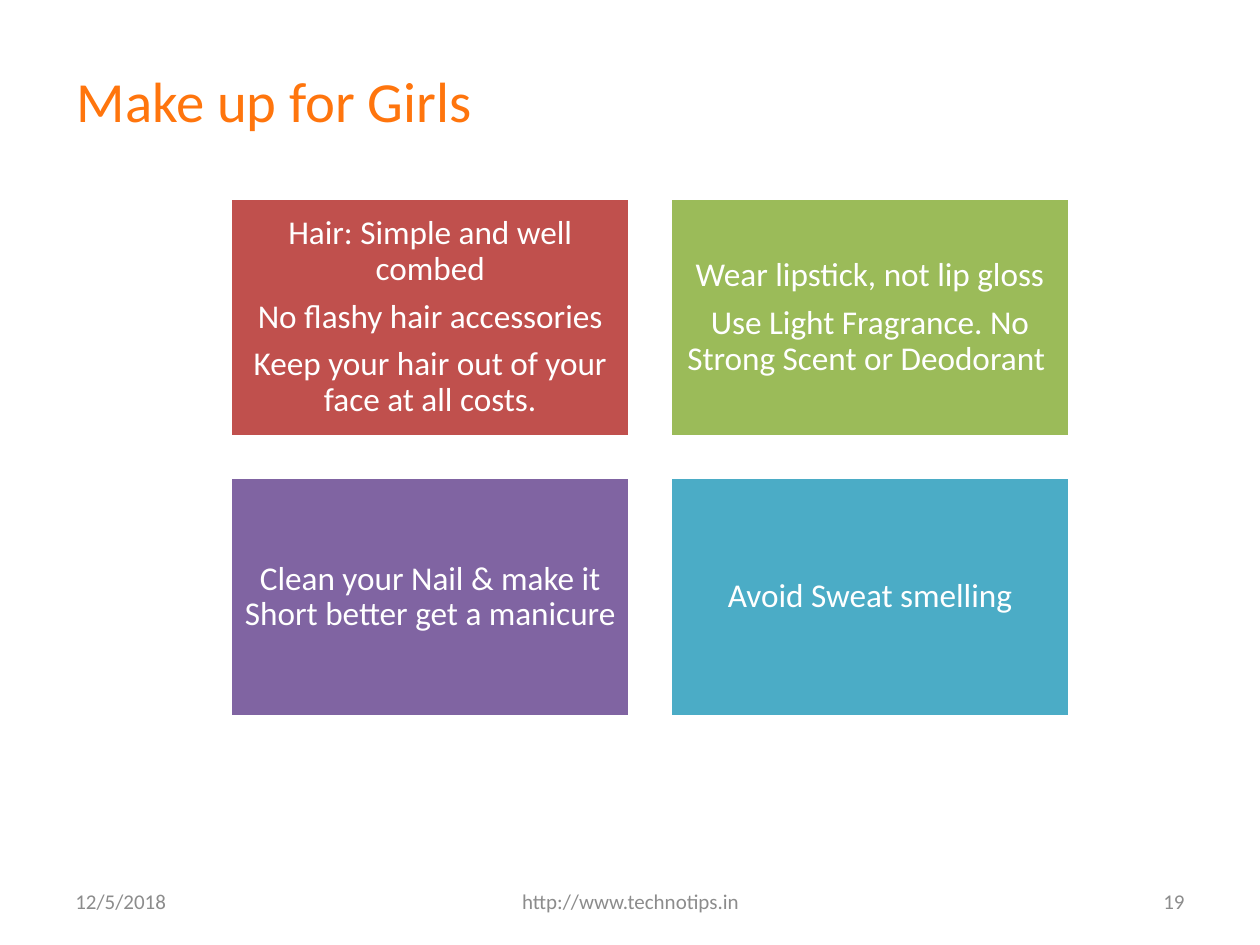
from dataclasses import dataclass

from pptx import Presentation
from pptx.dml.color import RGBColor
from pptx.enum.shapes import MSO_SHAPE
from pptx.enum.text import MSO_ANCHOR, PP_ALIGN
from pptx.slide import Slide
from pptx.text.text import TextFrame
from pptx.util import Inches, Pt

FONT_NAME = "Calibri"
WHITE = RGBColor(0xFF, 0xFF, 0xFF)
ORANGE = RGBColor(0xFF, 0x75, 0x0D)
GRAY = RGBColor(0x8C, 0x8C, 0x8C)
RED = RGBColor(0xC0, 0x50, 0x4D)
GREEN = RGBColor(0x9B, 0xBB, 0x59)
PURPLE = RGBColor(0x80, 0x64, 0xA2)
TEAL = RGBColor(0x4B, 0xAC, 0xC6)

CARD_COLUMNS = 2
CARD_LEFT, CARD_TOP = 1.83, 1.57
CARD_WIDTH, CARD_HEIGHT = 3.17, 1.9
CARD_GAP = 0.32
CARD_MARGIN = Inches(0.08)
CARD_FONT_SIZE = 19
FOOTER_TOP, FOOTER_HEIGHT = 6.95, 0.4


@dataclass
class Label:
    text: str
    left: float
    top: float
    width: float
    height: float
    size: float
    color: RGBColor
    alignment: PP_ALIGN = PP_ALIGN.LEFT


@dataclass
class Card:
    text: str
    fill: RGBColor


def footer(text: str, left: float, width: float, alignment: PP_ALIGN) -> Label:
    return Label(text, left, FOOTER_TOP, width, FOOTER_HEIGHT, 12, GRAY, alignment)


LABELS = [
    Label("Make up for Girls", 0.51, 0.5, 9, 0.58, 32.4, ORANGE),
    footer("12/5/2018", 0.5, 2.33, PP_ALIGN.LEFT),
    footer("http://www.technotips.in", 3.42, 3.17, PP_ALIGN.CENTER),
    footer("19", 7.17, 2.33, PP_ALIGN.RIGHT),
]

CARDS = [
    Card(
        "Hair: Simple and well combed\n"
        "No flashy hair accessories\n"
        "Keep your hair out of your face at all costs.",
        RED,
    ),
    Card(
        "Wear lipstick, not lip gloss\n"
        "Use Light Fragrance. No Strong Scent or Deodorant ",
        GREEN,
    ),
    Card("Clean your Nail & make it Short better get a manicure", PURPLE),
    Card("Avoid Sweat smelling", TEAL),
]


def write_text(
    text_frame: TextFrame, text: str, size: float, color: RGBColor, alignment: PP_ALIGN
) -> None:
    text_frame.text = text
    text_frame.word_wrap = True
    text_frame.vertical_anchor = MSO_ANCHOR.MIDDLE
    for paragraph in text_frame.paragraphs:
        paragraph.alignment = alignment
        for run in paragraph.runs:
            run.font.name = FONT_NAME
            run.font.size = Pt(size)
            run.font.color.rgb = color


def add_label(slide: Slide, label: Label) -> None:
    shape = slide.shapes.add_textbox(
        Inches(label.left), Inches(label.top), Inches(label.width), Inches(label.height)
    )
    write_text(shape.text_frame, label.text, label.size, label.color, label.alignment)


def add_card(slide: Slide, card: Card, index: int) -> None:
    row, column = divmod(index, CARD_COLUMNS)
    shape = slide.shapes.add_shape(
        MSO_SHAPE.RECTANGLE,
        Inches(CARD_LEFT + column * (CARD_WIDTH + CARD_GAP)),
        Inches(CARD_TOP + row * (CARD_HEIGHT + CARD_GAP)),
        Inches(CARD_WIDTH),
        Inches(CARD_HEIGHT),
    )
    shape.shadow.inherit = False
    shape.fill.solid()
    shape.fill.fore_color.rgb = card.fill
    shape.line.color.rgb = WHITE
    shape.line.width = Pt(2)
    text_frame = shape.text_frame
    text_frame.margin_left = text_frame.margin_right = CARD_MARGIN
    text_frame.margin_top = text_frame.margin_bottom = CARD_MARGIN
    write_text(text_frame, card.text, CARD_FONT_SIZE, WHITE, PP_ALIGN.CENTER)
    for paragraph in text_frame.paragraphs:
        paragraph.line_spacing = 0.9
        paragraph.space_after = Pt(0.35 * CARD_FONT_SIZE)


def main() -> None:
    presentation = Presentation()
    presentation.slide_width = Inches(10)
    presentation.slide_height = Inches(7.5)
    slide = presentation.slides.add_slide(presentation.slide_layouts[6])
    for label in LABELS:
        add_label(slide, label)
    for index, card in enumerate(CARDS):
        add_card(slide, card, index)
    presentation.save("out.pptx")


if __name__ == "__main__":
    main()
